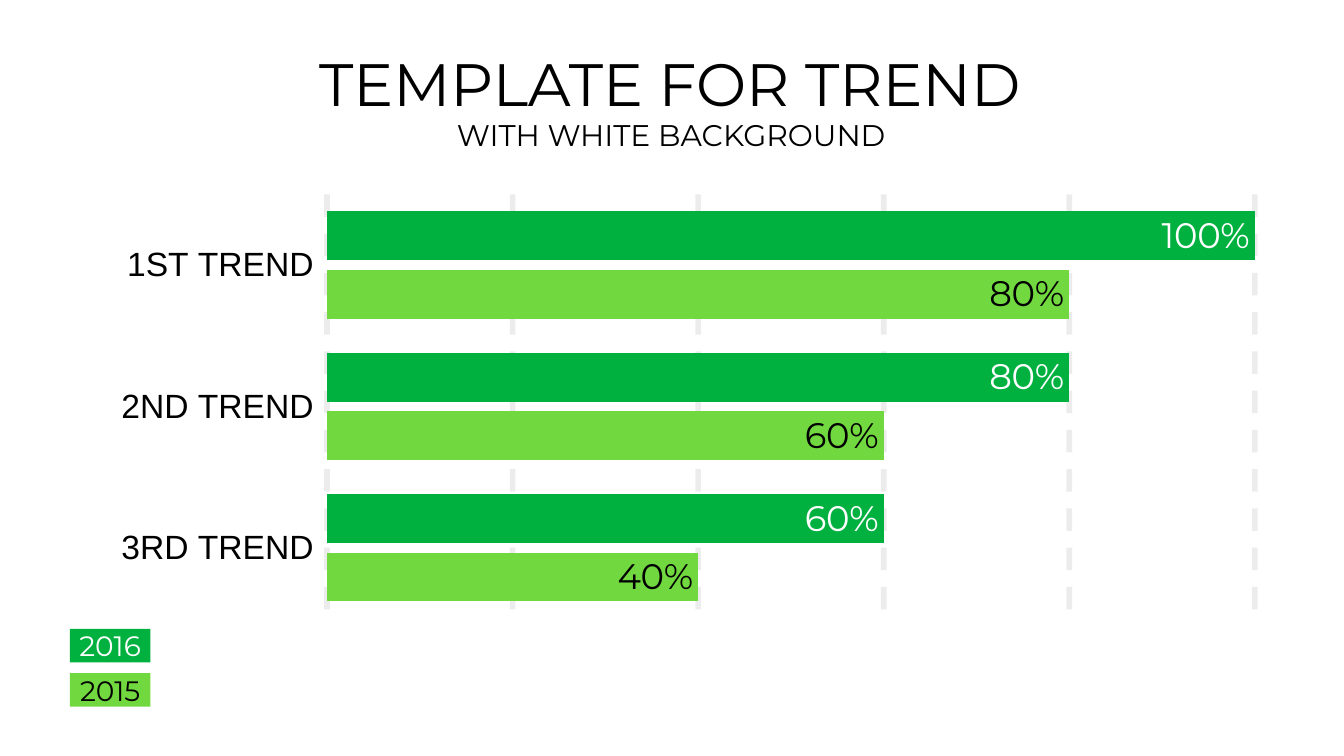
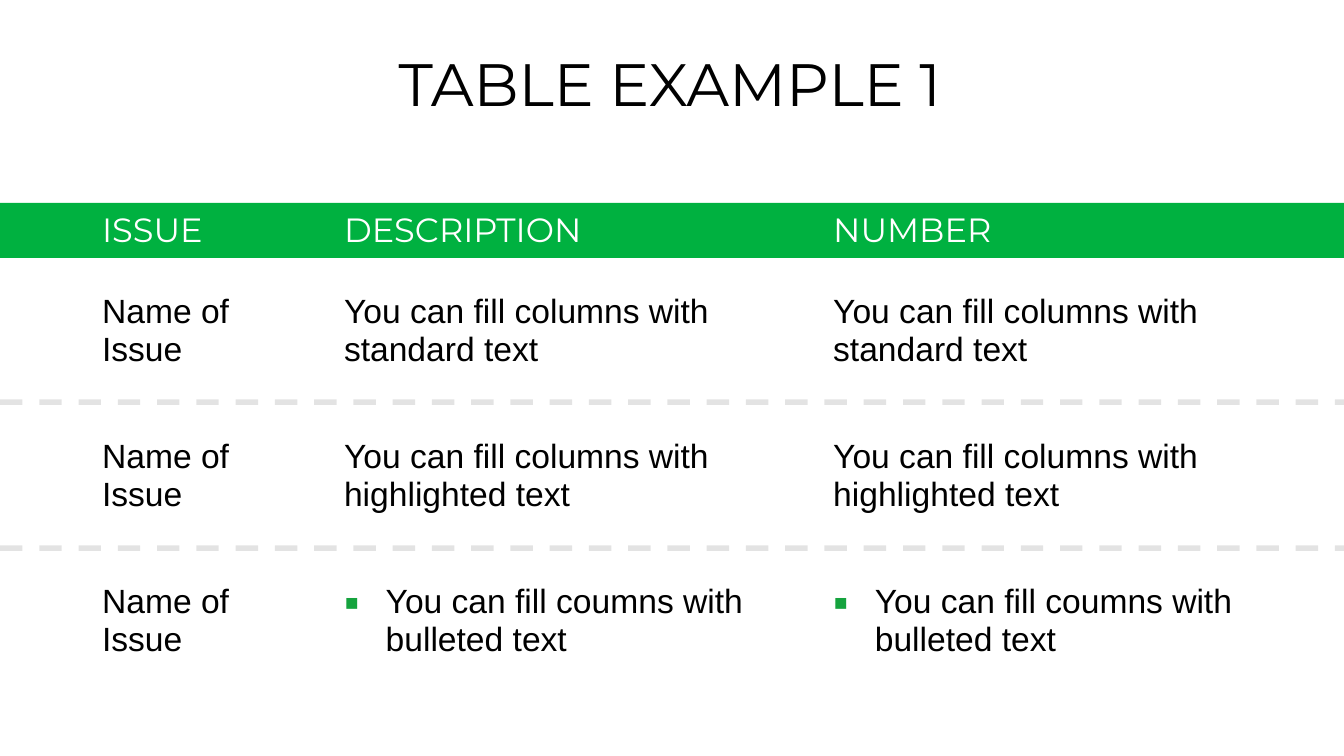
from lxml import etree
from pptx import Presentation
from pptx.chart.data import CategoryChartData
from pptx.dml.color import RGBColor
from pptx.enum.chart import XL_CHART_TYPE, XL_LABEL_POSITION, XL_TICK_LABEL_POSITION, XL_TICK_MARK
from pptx.enum.dml import MSO_LINE
from pptx.enum.shapes import MSO_CONNECTOR, MSO_SHAPE
from pptx.enum.text import MSO_ANCHOR, PP_ALIGN
from pptx.oxml import parse_xml
from pptx.oxml.ns import nsdecls, qn
from pptx.util import Inches, Pt

W, H = Inches(10), Inches(5.625)
HEAD, BODY = "Montserrat", "Arial"
GREEN, LIME, BULLET = "00B140", "71D83F", "15A33E"
BLACK, WHITE, GREY = "000000", "FFFFFF", "595959"
NO_STYLE = "{2D5ABB26-0587-4C30-8999-92F81FD0307C}"

# Table grid, in percent of the slide
TABLE_X, TABLE_Y = 6.6, 26.85
COLS = [18, 36.4, 32.3]
HEADER_H, ROW_H = 7.29, 19.2


def px(share):
    return int(W * share / 100)


def py(share):
    return int(H * share / 100)


def box(x, y, w, h):
    """Turn percentages of the slide into left, top, width, height."""
    return px(x), py(y), px(w), py(h)


def rgb(color):
    return RGBColor.from_string(color)


def style_font(font, size, name, color):
    font.size, font.name = Pt(size), name
    font.color.rgb = rgb(color)


def add_run(p, text, size, name, color):
    r = p.add_run()
    r.text = text
    style_font(r.font, size, name, color)


def set_margins(tf, side=0):
    tf.margin_left = tf.margin_right = Inches(side)
    tf.margin_top = tf.margin_bottom = 0


def style_dashes(line, color):
    """Make a thick dashed line at 11 % opacity."""
    line.color.rgb = rgb(color)
    line.width = Pt(3)
    line.dash_style = MSO_LINE.DASH
    clr = line._get_or_add_ln().find(".//" + qn("a:srgbClr"))
    etree.SubElement(clr, qn("a:alpha")).set("val", "11000")


def add_heading(s, text, size, area, anchor=MSO_ANCHOR.TOP, spacing=1.0):
    tf = s.shapes.add_textbox(*box(*area)).text_frame
    tf.word_wrap = True
    tf.vertical_anchor = anchor
    set_margins(tf)
    p = tf.paragraphs[0]
    p.alignment, p.line_spacing = PP_ALIGN.CENTER, spacing
    add_run(p, text, size, HEAD, BLACK)


def add_slide(prs, title):
    s = prs.slides.add_slide(prs.slide_layouts[6])
    add_heading(s, title, 32, (6.3, 8, 87.1, 5.16), spacing=0.8)
    return s


def add_rect(s, area, color):
    sp = s.shapes.add_shape(MSO_SHAPE.RECTANGLE, *box(*area))
    sp.shadow.inherit = False
    sp.fill.solid()
    sp.fill.fore_color.rgb = rgb(color)
    sp.line.fill.background()
    return sp


def add_key(s, y, year, fill, color):
    tf = add_rect(s, (5.2, y, 6, 4.44), fill).text_frame
    tf.word_wrap = False
    tf.vertical_anchor = MSO_ANCHOR.MIDDLE
    set_margins(tf, 0.02)
    p = tf.paragraphs[0]
    p.alignment = PP_ALIGN.CENTER
    add_run(p, year, 15, HEAD, color)


def add_divider(s, y):
    line = s.shapes.add_connector(MSO_CONNECTOR.STRAIGHT, 0, py(y), W, py(y))
    style_dashes(line.line, BLACK)
    etree.SubElement(line._element.spPr, qn("a:effectLst"))


def set_plot_layout(chart, x, y, w, h):
    """Fix the inner plot area, as shares of the chart."""
    area = chart._chartSpace.chart.plotArea
    for old in area.findall(qn("c:layout")):
        area.remove(old)
    sizes = "".join(f'<c:{k} val="{v}"/>' for k, v in zip("xywh", (x, y, w, h)))
    area.insert(0, parse_xml(
        f'<c:layout {nsdecls("c")}><c:manualLayout><c:layoutTarget val="inner"/>'
        f'<c:xMode val="edge"/><c:yMode val="edge"/>{sizes}</c:manualLayout></c:layout>'))


def add_trend_chart(s, categories, series):
    data = CategoryChartData()
    data.categories = categories
    for name, values, _, _ in series:
        data.add_series(name, values)
    chart = s.shapes.add_chart(XL_CHART_TYPE.BAR_CLUSTERED,
                               *box(-1.7, 20.98, 102.9, 78.93), data).chart
    chart.has_legend = chart.has_title = False
    style_font(chart.font, 19, BODY, WHITE)
    set_plot_layout(chart, 0.253, 0.06, 0.671, 0.711)

    cat = chart.category_axis
    cat.reverse_order = True
    cat.major_tick_mark = cat.minor_tick_mark = XL_TICK_MARK.NONE
    cat.tick_label_position = XL_TICK_LABEL_POSITION.LOW
    cat.format.line.fill.background()
    style_font(cat.tick_labels.font, 18, BODY, BLACK)

    val = chart.value_axis
    val.visible = False
    val.minimum_scale, val.maximum_scale, val.major_unit = 0, 100, 20
    val.has_major_gridlines = True
    style_dashes(val.major_gridlines.format.line, GREY)

    plot = chart.plots[0]
    plot.gap_width, plot.overlap, plot.vary_by_categories = 70, -20, False
    for ser, (_, _, fill, color) in zip(plot.series, series):
        ser.format.fill.solid()
        ser.format.fill.fore_color.rgb = rgb(fill)
        labels = ser.data_labels
        labels.show_value = True
        labels.position = XL_LABEL_POSITION.INSIDE_END
        labels.number_format = 'General"%"'
        labels.number_format_is_linked = False
        style_font(labels.font, 19, HEAD, color)


def add_bullet(p):
    pPr = p._p.get_or_add_pPr()
    pPr.set("marL", str(Inches(0.31)))
    pPr.set("indent", str(-Inches(0.31)))
    clr = etree.SubElement(pPr, qn("a:buClr"))
    etree.SubElement(clr, qn("a:srgbClr")).set("val", BULLET)
    etree.SubElement(pPr, qn("a:buSzPct")).set("val", "130000")
    etree.SubElement(pPr, qn("a:buFont")).set("typeface", BODY)
    etree.SubElement(pPr, qn("a:buChar")).set("char", "▪")


def add_issue_table(s, rows, bulleted):
    """Fill a table; bulleted holds the (row, column) of cells with a bullet."""
    heights = [HEADER_H] + [ROW_H] * (len(rows) - 1)
    table = s.shapes.add_table(len(rows), len(COLS), *box(
        TABLE_X, TABLE_Y, sum(COLS), sum(heights))).table
    table.first_row = table.horz_banding = False
    table._tbl.tblPr.find(qn("a:tableStyleId")).text = NO_STYLE
    for column, width in zip(table.columns, COLS):
        column.width = px(width)
    for i, (row, height) in enumerate(zip(rows, heights)):
        table.rows[i].height = py(height)
        name, color = (BODY, BLACK) if i else (HEAD, WHITE)
        for j, text in enumerate(row):
            cell = table.cell(i, j)
            cell.fill.background()
            cell.vertical_anchor = MSO_ANCHOR.MIDDLE
            p = cell.text_frame.paragraphs[0]
            if (i, j) in bulleted:
                add_bullet(p)
            add_run(p, text, 18, name, color)


def build_trend_slide(prs):
    s = add_slide(prs, "TEMPLATE FOR TREND")
    add_heading(s, "WITH WHITE BACKGROUND", 16, (3.9, 14.58, 92.1, 6.4), MSO_ANCHOR.MIDDLE)
    add_trend_chart(s, ["1ST TREND", "2ND TREND", "3RD TREND"], [
        ("Series 1", (100, 80, 60), GREEN, WHITE),
        ("Series 2", (80, 60, 40), LIME, BLACK),
    ])
    add_key(s, 89.05, "2015", LIME, BLACK)
    add_key(s, 83.2, "2016", GREEN, WHITE)


def build_table_slide(prs):
    s = add_slide(prs, "TABLE EXAMPLE 1")
    add_rect(s, (0, TABLE_Y, 100, HEADER_H), GREEN)
    texts = ["You can fill columns with standard text",
             "You can fill columns with highlighted text",
             "You can fill coumns with bulleted text"]
    rows = [["ISSUE", "DESCRIPTION", "NUMBER"]]
    rows += [["Name of Issue", text, text] for text in texts]
    add_issue_table(s, rows, bulleted={(3, 1), (3, 2)})
    for i in range(2):
        add_divider(s, 53.2 + 19.3 * i)


def main():
    prs = Presentation()
    prs.slide_width, prs.slide_height = W, H
    build_trend_slide(prs)
    build_table_slide(prs)
    prs.save("out.pptx")


if __name__ == "__main__":
    main()
